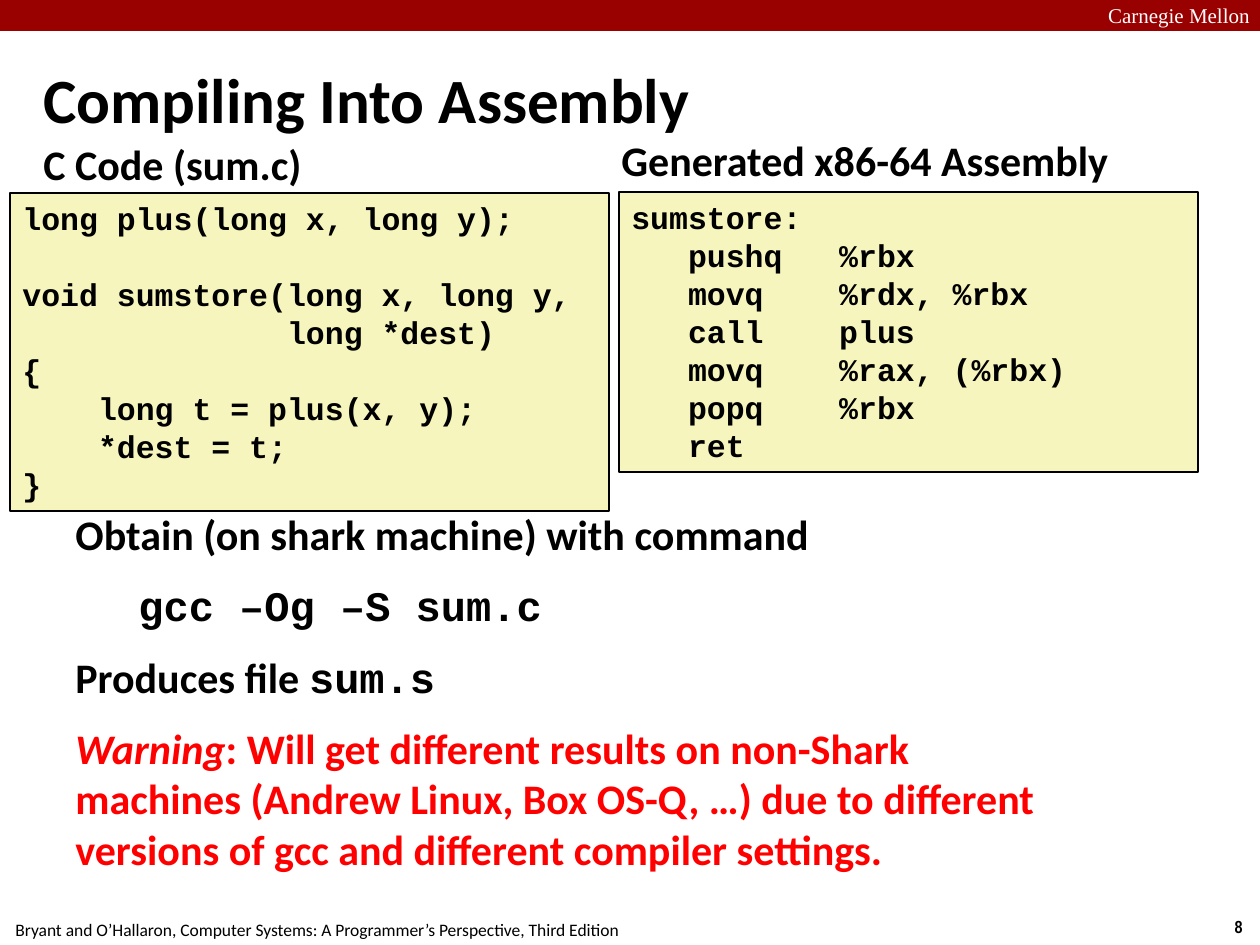
from dataclasses import dataclass

from pptx import Presentation
from pptx.dml.color import RGBColor as Rgb
from pptx.enum.shapes import MSO_SHAPE as Preset
from pptx.enum.text import MSO_ANCHOR as Anchor, PP_ALIGN as Align
from pptx.util import Emu, Pt

EMU_PER_PX = 914400 / 126


def px(length):
    return Emu(round(length * EMU_PER_PX))


@dataclass(frozen=True)
class Theme:
    black: str = "000000"
    white: str = "FFFFFF"
    banner: str = "990000"
    paper: str = "F6F5BD"
    warning: str = "FF0000"
    sans: str = "Calibri"
    mono: str = "Courier New"
    serif: str = "Times New Roman"
    narrow: str = "Arial Narrow"
    title: int = 36
    body: int = 24
    code: int = 18
    brand: int = 12
    footer: int = 10
    code_pitch: float = 21.7
    paragraph_gap: int = 12


def write(paragraph, text, *, font, size, color, bold=True, italic=False):
    run = paragraph.add_run()
    run.text = text
    run.font.name = font
    run.font.size = Pt(size)
    run.font.color.rgb = Rgb.from_string(color)
    run.font.bold = bold
    run.font.italic = italic


class SlideBuilder:
    def __init__(self, slide, theme):
        self.slide = slide
        self.theme = theme

    def rectangle(self, left, top, width, height, fill, line=None):
        shape = self.slide.shapes.add_shape(
            Preset.RECTANGLE, px(left), px(top), px(width), px(height))
        shape.shadow.inherit = False
        shape.fill.solid()
        shape.fill.fore_color.rgb = Rgb.from_string(fill)
        if line:
            shape.line.color.rgb = Rgb.from_string(line)
            shape.line.width = Pt(1)
        else:
            shape.line.fill.background()
        return shape

    def text_frame(self, left, top, width, height, wrap=True):
        frame = self.slide.shapes.add_textbox(
            px(left), px(top), px(width), px(height)).text_frame
        frame.word_wrap = wrap
        return frame

    def label(self, text, left, top, width, height, *, align=Align.LEFT,
              anchor=Anchor.TOP, wrap=True, **style):
        frame = self.text_frame(left, top, width, height, wrap)
        frame.vertical_anchor = anchor
        paragraph = frame.paragraphs[0]
        paragraph.alignment = align
        write(paragraph, text, **style)

    def code_box(self, blocks, left, top, width, height):
        theme = self.theme
        frame = self.rectangle(
            left, top, width, height, theme.paper, theme.black).text_frame
        frame.vertical_anchor = Anchor.TOP
        paragraph = frame.paragraphs[0]
        for block_index, block in enumerate(blocks):
            for line_index, line in enumerate(block.splitlines()):
                if block_index or line_index:
                    paragraph = frame.add_paragraph()
                if block_index and not line_index:
                    paragraph.space_before = Pt(theme.code_pitch)
                paragraph.alignment = Align.LEFT
                paragraph.line_spacing = Pt(theme.code_pitch)
                write(paragraph, line, font=theme.mono, size=theme.code,
                      color=theme.black)

    def instructions(self, entries, left, top, width, height):
        theme = self.theme
        frame = self.text_frame(left, top, width, height)
        for index, (indent, pieces) in enumerate(entries):
            paragraph = frame.add_paragraph() if index else frame.paragraphs[0]
            if index:
                paragraph.space_before = Pt(theme.paragraph_gap)
            if indent:
                paragraph._p.get_or_add_pPr().set("marL", str(px(indent)))
            for text, style in pieces:
                write(paragraph, text, size=theme.body,
                      **{"font": theme.sans, "color": theme.black, **style})


C_SOURCE = [
    "long plus(long x, long y);",
    """void sumstore(long x, long y,
              long *dest)
{
    long t = plus(x, y);
    *dest = t;
}""",
]

ASSEMBLY = ["""sumstore:
   pushq   %rbx
   movq    %rdx, %rbx
   call    plus
   movq    %rax, (%rbx)
   popq    %rbx
   ret"""]


def main():
    theme = Theme()
    deck = Presentation()
    deck.slide_width, deck.slide_height = px(1260), px(945)
    page = SlideBuilder(deck.slides.add_slide(deck.slide_layouts[6]), theme)

    page.rectangle(0, 0, 1260, 31, theme.banner)
    page.label("Carnegie Mellon", 1089, -4, 180, 38, align=Align.CENTER,
               font=theme.serif, size=theme.brand, color=theme.white, bold=False)
    page.label("8", 1217, 910, 43, 34, align=Align.CENTER, wrap=False,
               font=theme.narrow, size=theme.footer, color=theme.black)
    page.label("Bryant and O’Hallaron, Computer Systems: "
               "A Programmer’s Perspective, Third Edition",
               -3, 913, 640, 34, align=Align.CENTER, wrap=False,
               font=theme.sans, size=theme.footer, color=theme.black, bold=False)

    page.label("Compiling Into Assembly", 31, 60, 944, 77, anchor=Anchor.MIDDLE,
               font=theme.sans, size=theme.title, color=theme.black)
    heading = dict(font=theme.sans, size=theme.body, color=theme.black)
    page.label("C Code (sum.c)", 31, 132, 336, 50, **heading)
    page.code_box(C_SOURCE, 10, 193, 599, 318)
    page.label("Generated x86-64 Assembly", 609, 128, 567, 57, **heading)
    page.code_box(ASSEMBLY, 619, 192, 579, 280)

    mono = {"font": theme.mono}
    warning = {"color": theme.warning}
    page.instructions([
        (0, [("Obtain (on shark machine) with command", {})]),
        (63, [("gcc –Og –S sum.c", mono)]),
        (0, [("Produces file ", {}), ("sum.s", mono)]),
        (0, [("Warning", {**warning, "italic": True}),
             (": Will get different results on non-Shark machines "
              "(Andrew Linux, Box OS-Q, …) due to different versions of gcc "
              "and different compiler settings.", warning)]),
    ], 63, 502, 1029, 470)

    deck.save("out.pptx")


if __name__ == "__main__":
    main()
